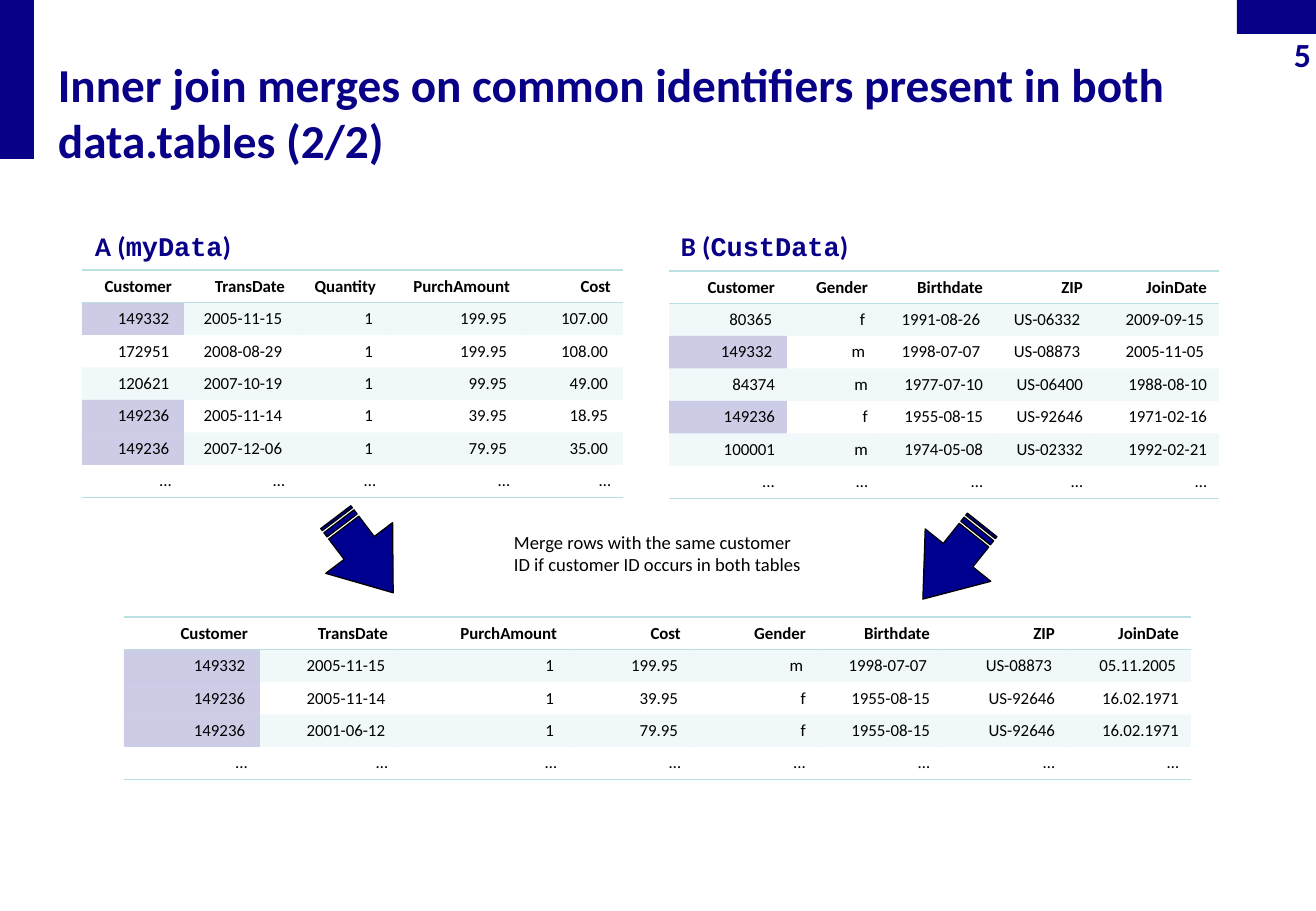
import pptx
import pptx.dml.color
import pptx.enum.shapes
import pptx.enum.text
import pptx.oxml
import pptx.oxml.ns
import pptx.util

TITLE = "Inner join merges on common identifiers present in both data.tables (2/2)"
PAGE_NUMBER = "5"
MERGE_NOTE = "Merge rows with the same customer ID if customer ID occurs in both tables"
HEADINGS = [("A (", "myData", ")", 83), ("B (", "CustData", ")", 669)]
SHARED_CUSTOMERS = {"149332", "149236"}
TABLES = [
    {
        "left": 669, "top": 271, "columns": [118, 93, 115, 100, 124],
        "wide_cells": [0, 5, 5, 0, 0, 0, 0],
        "rows": [
            ("Customer", "Gender", "Birthdate", "ZIP", "JoinDate"),
            ("80365", "f", "1991-08-26", "US-06332", "2009-09-15"),
            ("149332", "m", "1998-07-07", "US-08873", "2005-11-05"),
            ("84374", "m", "1977-07-10", "US-06400", "1988-08-10"),
            ("149236", "f", "1955-08-15", "US-92646", "1971-02-16"),
            ("100001", "m", "1974-05-08", "US-02332", "1992-02-21"),
            ("...", "…", "…", "…", "…"),
        ],
    },
    {
        "left": 82, "top": 270, "columns": [102, 113, 91, 134, 101],
        "wide_cells": [0, 5, 5, 5, 5, 5, 0],
        "rows": [
            ("Customer", "TransDate", "Quantity", "PurchAmount", "Cost"),
            ("149332", "2005-11-15", "1", "199.95", "107.00"),
            ("172951", "2008-08-29", "1", "199.95", "108.00"),
            ("120621", "2007-10-19", "1", "99.95", "49.00"),
            ("149236", "2005-11-14", "1", "39.95", "18.95"),
            ("149236", "2007-12-06", "1", "79.95", "35.00"),
            ("...", "…", "…", "…", "…"),
        ],
    },
    {
        "left": 124, "top": 617, "columns": [136, 140, 169, 124, 125, 124, 125, 124],
        "wide_cells": [0, 8, 4, 4, 0],
        "rows": [
            ("Customer", "TransDate", "PurchAmount", "Cost",
             "Gender", "Birthdate", "ZIP", "JoinDate"),
            ("149332", "2005-11-15", "1", "199.95",
             "m", "1998-07-07", "US-08873", "05.11.2005"),
            ("149236", "2005-11-14", "1", "39.95",
             "f", "1955-08-15", "US-92646", "16.02.1971"),
            ("149236", "2001-06-12", "1", "79.95",
             "f", "1955-08-15", "US-92646", "16.02.1971"),
            ("...", "…", "…", "…", "...", "…", "…", "…"),
        ],
    },
]
ARROWS = [(317, 513, 52.8), (905, 520, 128.6)]
CORNER_BARS = [(0, 0, 34, 159), (1237, 0, 79, 34)]
COLORS = {"navy": "090088", "arrow": "000090", "teal": "BBE0E3", "black": "000000"}
ROW_HEIGHT = 32
NO_TABLE_STYLE = "{2D5ABB26-0587-4C30-8999-92F81FD0307C}"
RIGHT = pptx.enum.text.PP_ALIGN.RIGHT


def px(value):
    return pptx.util.Emu(value * 7526)


def rgb(name):
    return pptx.dml.color.RGBColor.from_string(COLORS[name])


def style_run(run, size, color, bold, font="Calibri"):
    run.font.name = font
    run.font.size = pptx.util.Pt(size)
    run.font.bold = bold
    run.font.color.rgb = rgb(color)


def add_text(slide, box, parts, size, color, bold, align=None):
    shape = slide.shapes.add_textbox(*map(px, box))
    shape.text_frame.word_wrap = True
    paragraph = shape.text_frame.paragraphs[0]
    paragraph.alignment = align
    for text, font in parts:
        run = paragraph.add_run()
        run.text = text
        style_run(run, size, color, bold, font)
    return shape


def add_filled(slide, kind, box, color):
    shape = slide.shapes.add_shape(kind, *map(px, box))
    shape.shadow.inherit = False
    shape.fill.solid()
    shape.fill.fore_color.rgb = rgb(color)
    shape.line.fill.background()
    return shape


def tint_cell(cell, color):
    cell.fill.solid()
    cell.fill.fore_color.rgb = rgb(color)
    solid_color = cell._tc.tcPr.find(".//" + pptx.oxml.ns.qn("a:srgbClr"))
    solid_color.append(pptx.oxml.parse_xml(
        f'<a:alpha {pptx.oxml.ns.nsdecls("a")} val="20000"/>'))


def add_borders(cell, sides):
    for position, side in enumerate(sides):
        cell._tc.get_or_add_tcPr().insert(position, pptx.oxml.parse_xml(
            f'<a:ln{side} {pptx.oxml.ns.nsdecls("a")} w="12700"><a:solidFill>'
            f'<a:srgbClr val="{COLORS["teal"]}"/></a:solidFill></a:ln{side}>'))


def fill_cell(cell, text, row, column, last_row, wide):
    cell.text = text
    paragraph = cell.text_frame.paragraphs[0]
    paragraph.alignment = RIGHT
    style_run(paragraph.runs[0], 10, "black", row == 0)
    if row > 0:
        cell.vertical_anchor = pptx.enum.text.MSO_ANCHOR.MIDDLE
    if wide:
        cell.margin_left = cell.margin_right = px(15)
    if column == 0 and text in SHARED_CUSTOMERS:
        tint_cell(cell, "navy")
    elif row % 2:
        tint_cell(cell, "teal")
    else:
        cell.fill.background()
    add_borders(cell, {0: "TB", last_row: "B"}.get(row, ""))


def add_data_table(slide, spec_table):
    rows, columns = spec_table["rows"], spec_table["columns"]
    frame = slide.shapes.add_table(
        len(rows), len(columns), px(spec_table["left"]), px(spec_table["top"]),
        px(sum(columns)), px(ROW_HEIGHT * len(rows)))
    table = frame.table
    table.first_row = table.horz_banding = False
    table._tbl.tblPr.find(pptx.oxml.ns.qn("a:tableStyleId")).text = NO_TABLE_STYLE
    for column, width in zip(table.columns, columns):
        column.width = px(width)
    for row, values in enumerate(rows):
        table.rows[row].height = px(ROW_HEIGHT)
        for column, text in enumerate(values):
            fill_cell(table.cell(row, column), text, row, column,
                      len(rows) - 1, column < spec_table["wide_cells"][row])


def main():
    presentation = pptx.Presentation()
    presentation.slide_width, presentation.slide_height = px(1316), px(911)
    slide = presentation.slides.add_slide(presentation.slide_layouts[6])
    shapes = pptx.enum.shapes.MSO_SHAPE

    for box in CORNER_BARS:
        add_filled(slide, shapes.RECTANGLE, box, "navy")
    number = add_text(slide, (1237, 29, 79, 50), [(PAGE_NUMBER, "Calibri")],
                      20, "navy", True, RIGHT)
    frame = number.text_frame
    frame.margin_left = frame.margin_right = px(5)
    frame.margin_top = frame.margin_bottom = px(5)

    for opening, name, closing, left in HEADINGS:
        parts = [(opening, "Calibri"), (name, "Courier New"), (closing, "Calibri")]
        heading = add_text(slide, (left, 207, 564, 582), parts, 16, "navy", True)
        paragraph = heading.text_frame.paragraphs[0]
        paragraph.line_spacing = 1.5
        paragraph.space_after = pptx.util.Pt(6)
    add_text(slide, (46, 49, 1188, 75), [(TITLE, "Calibri")], 28, "navy", True)

    for spec_table in TABLES:
        add_data_table(slide, spec_table)
    add_text(slide, (502, 525, 311, 57), [(MERGE_NOTE, "Calibri")], 11, "black", False)

    for left, top, rotation in ARROWS:
        arrow = add_filled(slide, shapes.STRIPED_RIGHT_ARROW, (left, top, 95, 84), "arrow")
        arrow.rotation = rotation
        arrow.adjustments[0], arrow.adjustments[1] = 0.45, 0.67
        arrow.line.color.rgb = rgb("black")
        arrow.line.width = pptx.util.Pt(0.75)
    presentation.save("out.pptx")


if __name__ == "__main__":
    main()
